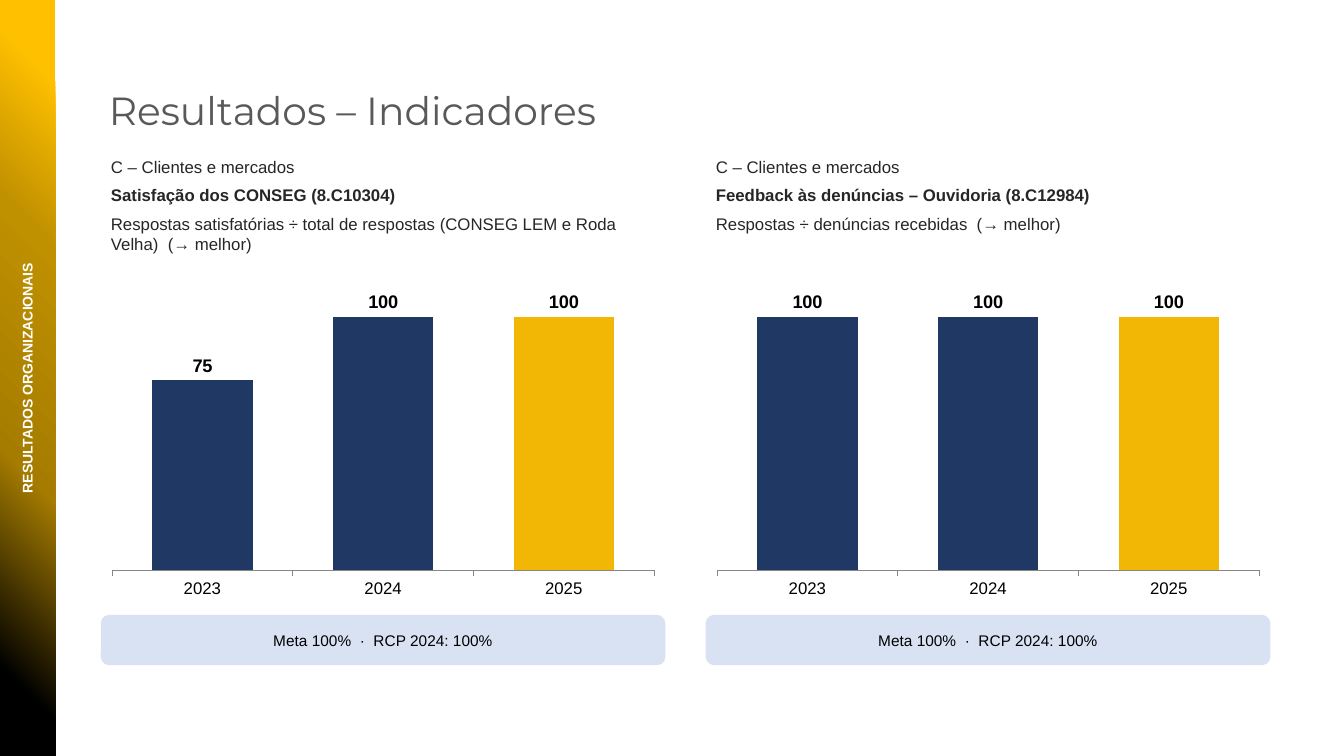
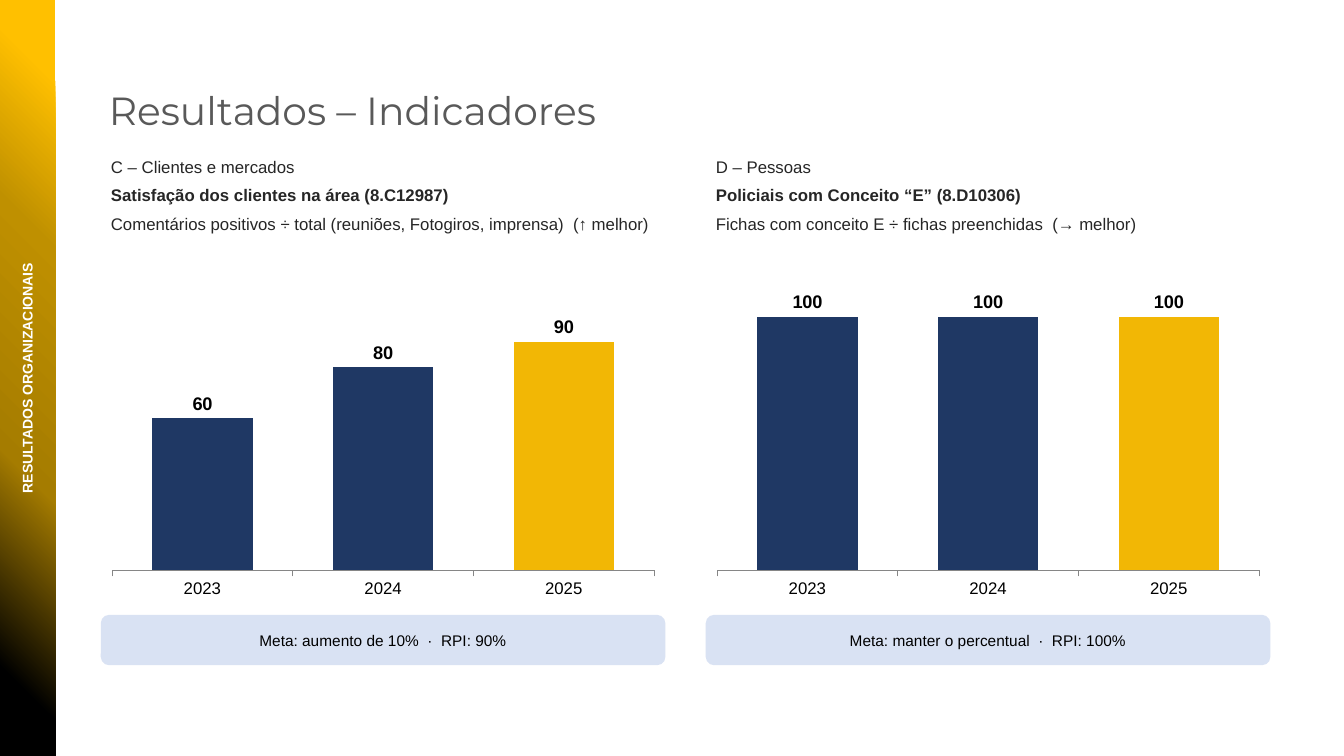
from pptx import Presentation
from pptx.chart.data import CategoryChartData
from pptx.dml.color import RGBColor
from pptx.enum.chart import XL_CHART_TYPE, XL_LABEL_POSITION, XL_TICK_MARK
from pptx.enum.shapes import MSO_SHAPE
from pptx.enum.text import MSO_ANCHOR, MSO_AUTO_SIZE, PP_ALIGN
from pptx.oxml import parse_xml
from pptx.oxml.ns import nsdecls
from pptx.util import Inches, Pt

# Colours
WHITE = RGBColor(0xFF, 0xFF, 0xFF)
BLACK = RGBColor(0x00, 0x00, 0x00)
TITLE_GREY = RGBColor(0x59, 0x59, 0x59)
TEXT_GREY = RGBColor(0x26, 0x26, 0x26)
AXIS_GREY = RGBColor(0x86, 0x86, 0x86)
NAVY = RGBColor(0x1F, 0x38, 0x64)
GOLD = RGBColor(0xF2, 0xB7, 0x05)
PALE_BLUE = RGBColor(0xD9, 0xE2, 0xF3)
BRONZE = RGBColor(0xA5, 0x7C, 0x00)
OCHRE = RGBColor(0xBF, 0x90, 0x00)
AMBER = RGBColor(0xFF, 0xC0, 0x00)
BAND_STOPS = [(0, BLACK), (11, BLACK), (38, BRONZE), (69, OCHRE), (90, AMBER), (100, AMBER)]

# Text formats
TITLE_FORMAT = {"name": "Montserrat", "size": Pt(28), "bold": False}
BAND_FORMAT = {"name": "Arial", "size": Pt(10), "bold": True}
TEXT_FORMAT = {"name": "Arial", "size": Pt(12), "bold": False}
HEADING_FORMAT = {**TEXT_FORMAT, "bold": True}
TARGET_FORMAT = {"name": "Arial", "size": Pt(11)}
CHART_FORMAT = {"name": "Arial", "size": Pt(18)}
LABEL_FORMAT = {"name": "Arial", "size": Pt(13), "bold": True}

# Layout, in inches
SLIDE_WIDTH, SLIDE_HEIGHT = 13.33, 7.5
BAND_WIDTH = 0.55
PANEL_LEFT, PANEL_TOP, PANEL_WIDTH, PANEL_STEP = 1, 1.5, 5.6, 6

YEARS = ["2023", "2024", "2025"]
SLIDES = [
    [
        {
            "lines": ["C – Clientes e mercados", "Satisfação dos CONSEG (8.C10304)",
                      "Respostas satisfatórias ÷ total de respostas (CONSEG LEM e Roda Velha)  (→ melhor)"],
            "values": [75, 100, 100],
            "target": "Meta 100%  ·  RCP 2024: 100%",
        },
        {
            "lines": ["C – Clientes e mercados", "Feedback às denúncias – Ouvidoria (8.C12984)",
                      "Respostas ÷ denúncias recebidas  (→ melhor)"],
            "values": [100, 100, 100],
            "target": "Meta 100%  ·  RCP 2024: 100%",
        },
    ],
    [
        {
            "lines": ["C – Clientes e mercados", "Satisfação dos clientes na área (8.C12987)",
                      "Comentários positivos ÷ total (reuniões, Fotogiros, imprensa)  (↑ melhor)"],
            "values": [60, 80, 90],
            "target": "Meta: aumento de 10%  ·  RPI: 90%",
        },
        {
            "lines": ["D – Pessoas", "Policiais com Conceito “E” (8.D10306)",
                      "Fichas com conceito E ÷ fichas preenchidas  (→ melhor)"],
            "values": [100, 100, 100],
            "target": "Meta: manter o percentual  ·  RPI: 100%",
        },
    ],
]


def format_font(font, values, color):
    for name, value in values.items():
        setattr(font, name, value)
    font.color.rgb = color


def place(shape, left, top, width, height):
    box = {"left": left, "top": top, "width": width, "height": height}
    for name, value in box.items():
        setattr(shape, name, Inches(value))


def prepare_frame(shape, anchor=MSO_ANCHOR.TOP):
    frame = shape.text_frame
    values = {"word_wrap": True, "auto_size": MSO_AUTO_SIZE.NONE, "vertical_anchor": anchor}
    for name, value in values.items():
        setattr(frame, name, value)
    return frame


def write_line(frame, text, values, color, alignment):
    paragraph = frame.paragraphs[0]
    paragraph.text = text
    paragraph.alignment = alignment
    format_font(paragraph.font, values, color)


def add_plain_shape(slide, kind, left, top, width, height):
    shape = slide.shapes.add_shape(kind, *map(Inches, (left, top, width, height)))
    shape.shadow.inherit = False
    shape.line.fill.background()
    return shape


def add_band(slide):
    """Gradient side band with its vertical caption."""
    band = add_plain_shape(slide, MSO_SHAPE.RECTANGLE, 0, 0, BAND_WIDTH, SLIDE_HEIGHT)
    stops = "".join(
        f'<a:gs pos="{position * 1000}"><a:srgbClr val="{color}"/></a:gs>'
        for position, color in BAND_STOPS
    )
    gradient = parse_xml(
        f'<a:gradFill {nsdecls("a")} rotWithShape="1"><a:gsLst>{stops}</a:gsLst>'
        '<a:path path="circle"><a:fillToRect t="100000" r="100000"/></a:path></a:gradFill>'
    )
    band.fill.background()
    properties = band.element.spPr
    properties.replace(properties.find("{*}noFill"), gradient)

    caption = slide.shapes.add_textbox(*map(Inches, (-2.66, 3.61, 5.87, 0.28)))
    caption.rotation = 270
    write_line(prepare_frame(caption), "RESULTADOS ORGANIZACIONAIS",
               BAND_FORMAT, WHITE, PP_ALIGN.CENTER)


def fill_title(slide):
    title = slide.shapes.title
    place(title, 0.98, 0.81, 9.51, 0.57)
    write_line(prepare_frame(title), "Resultados – Indicadores",
               TITLE_FORMAT, TITLE_GREY, PP_ALIGN.LEFT)


def fill_description(placeholder, lines, left, top, width):
    """Area, indicator name and formula."""
    place(placeholder, left, top, width, 1.1)
    frame = prepare_frame(placeholder)
    formats = [TEXT_FORMAT, HEADING_FORMAT, TEXT_FORMAT]
    for index, (line, values) in enumerate(zip(lines, formats)):
        paragraph = frame.paragraphs[0] if index == 0 else frame.add_paragraph()
        paragraph.text = line
        paragraph.space_before = Pt(0)
        paragraph.space_after = Pt(6)
        properties = paragraph._p.get_or_add_pPr()
        properties.set("marL", "0")
        properties.set("indent", "0")
        properties.append(parse_xml(f'<a:buNone {nsdecls("a")}/>'))
        format_font(paragraph.font, values, TEXT_GREY)


def add_indicator_chart(slide, values, left, top, width):
    """Columns by year, with the latest year highlighted."""
    data = CategoryChartData()
    data.categories = YEARS
    data.add_series("Series 1", values)
    chart = slide.shapes.add_chart(
        XL_CHART_TYPE.COLUMN_CLUSTERED, *map(Inches, (left, top, width, 3.3)), data
    ).chart
    chart.has_legend = False
    chart.has_title = False
    format_font(chart.font, CHART_FORMAT, BLACK)

    value_axis = chart.value_axis
    axis_values = {"visible": False, "has_major_gridlines": False,
                   "minimum_scale": 0, "maximum_scale": 115}
    for name, value in axis_values.items():
        setattr(value_axis, name, value)
    category_axis = chart.category_axis
    category_axis.major_tick_mark = XL_TICK_MARK.OUTSIDE
    category_axis.format.line.color.rgb = AXIS_GREY
    category_axis.format.line.width = Pt(0.75)
    format_font(category_axis.tick_labels.font, TEXT_FORMAT, BLACK)

    plot = chart.plots[0]
    plot.gap_width = 80
    plot.vary_by_categories = False
    series = plot.series[0]
    highlight = series.points[len(YEARS) - 1]
    for part, color in ((series, NAVY), (highlight, GOLD)):
        part.format.fill.solid()
        part.format.fill.fore_color.rgb = color
    labels = series.data_labels
    label_values = {"show_value": True, "position": XL_LABEL_POSITION.OUTSIDE_END,
                    "number_format": "0", "number_format_is_linked": False}
    for name, value in label_values.items():
        setattr(labels, name, value)
    format_font(labels.font, LABEL_FORMAT, BLACK)


def add_target(slide, text, left, top, width):
    target = add_plain_shape(slide, MSO_SHAPE.ROUNDED_RECTANGLE, left, top, width, 0.5)
    target.fill.solid()
    target.fill.fore_color.rgb = PALE_BLUE
    write_line(prepare_frame(target, MSO_ANCHOR.MIDDLE), text,
               TARGET_FORMAT, BLACK, PP_ALIGN.CENTER)


def add_panel(slide, placeholder, indicator, left, top, width):
    """One indicator: description, chart and target."""
    fill_description(placeholder, indicator["lines"], left, top, width)
    add_indicator_chart(slide, indicator["values"], left, top + 1.2, width)
    add_target(slide, indicator["target"], left, top + 4.6, width)


def add_indicator_slide(presentation, indicators):
    # Two Content layout: a title and two body placeholders
    slide = presentation.slides.add_slide(presentation.slide_layouts[3])
    add_band(slide)
    fill_title(slide)
    for column, indicator in enumerate(indicators):
        add_panel(slide, slide.placeholders[column + 1], indicator,
                  PANEL_LEFT + column * PANEL_STEP, PANEL_TOP, PANEL_WIDTH)


def main():
    presentation = Presentation()
    presentation.slide_width = Inches(SLIDE_WIDTH)
    presentation.slide_height = Inches(SLIDE_HEIGHT)
    for indicators in SLIDES:
        add_indicator_slide(presentation, indicators)
    presentation.save("out.pptx")


if __name__ == "__main__":
    main()
